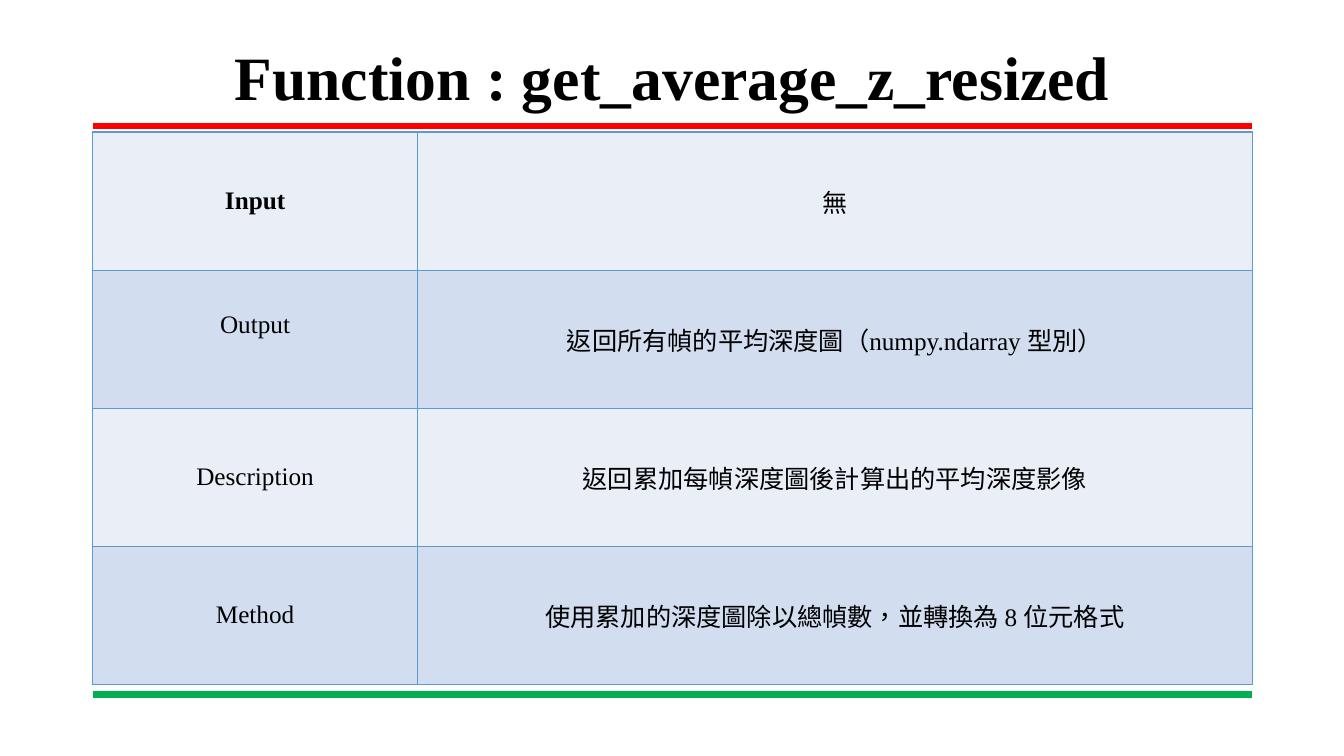
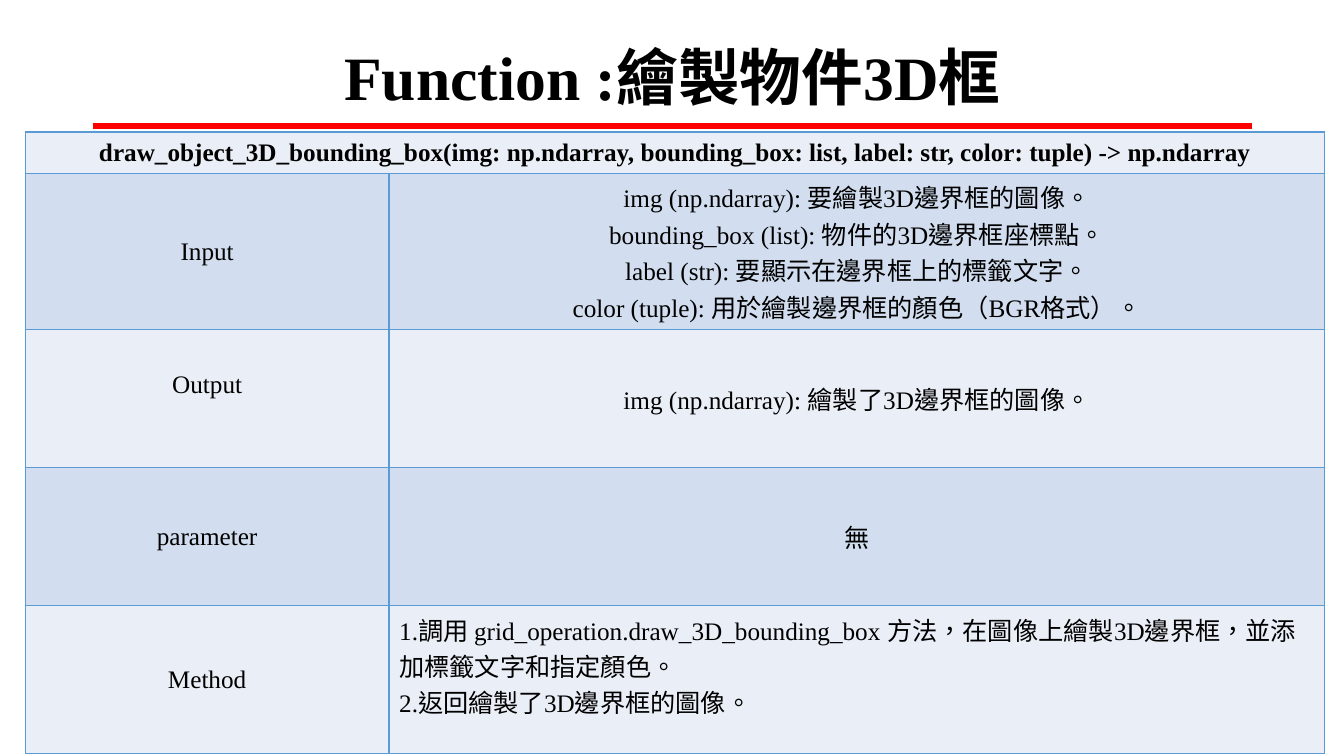
"""Build two slides that document functions in tables."""
from lxml import etree
from pptx import Presentation
from pptx import util as u
from pptx.dml.color import RGBColor
from pptx.enum import lang, shapes, text
from pptx.oxml.ns import qn

WIDTH, HEIGHT = 13.33, 7.5
LEFT, RIGHT = 0.92, 12.42
TABLE_TOP = 1.31
LABEL_SHARE = 0.28
ROW = 1.37
RAISED_MARGIN = 0.33
FONT = "Times New Roman"
COLORS = {
    "text": "000000",
    "top_band": "FF0000",
    "bottom_band": "00B050",
    "border": "5B9BD5",
    "light_row": "EAEFF7",
    "dark_row": "D2DEEF",
}


def rgb(name):
    """Return the named colour."""
    return RGBColor.from_string(COLORS[name])


def write(frame, content, size, bold=False, align=text.PP_ALIGN.CENTER):
    """Fill a text frame and format its runs."""
    frame.text = content
    for paragraph in frame.paragraphs:
        paragraph.alignment = align
        for run in paragraph.runs:
            run.font.name = FONT
            run.font.size = u.Pt(size)
            run.font.bold = bold
            run.font.color.rgb = rgb("text")
            run.font.language_id = lang.MSO_LANGUAGE_ID.TRADITIONAL_CHINESE


def add_band(slide, y, color):
    """Draw a horizontal band between the side margins."""
    band = slide.shapes.add_connector(
        shapes.MSO_CONNECTOR.STRAIGHT,
        u.Inches(LEFT), u.Inches(y), u.Inches(RIGHT), u.Inches(y))
    band.line.color.rgb = rgb(color)
    band.line.width = u.Pt(4.5)
    etree.SubElement(band._element.spPr, qn("a:effectLst"))


def add_title(slide, content):
    """Place the slide title above the top band."""
    title = slide.shapes.add_textbox(
        u.Inches(LEFT), u.Inches(0.4), u.Inches(RIGHT - LEFT), u.Inches(0.79))
    frame = title.text_frame
    frame.word_wrap = True
    frame.vertical_anchor = text.MSO_ANCHOR.MIDDLE
    write(frame, content, 44, bold=True)
    frame.paragraphs[0].line_spacing = 0.9


def add_borders(cell):
    """Outline a cell on all four sides."""
    properties = cell._tc.get_or_add_tcPr()
    for side in ("a:lnL", "a:lnR", "a:lnT", "a:lnB"):
        line = etree.SubElement(properties, qn(side), w=str(u.Pt(1)))
        fill = etree.SubElement(line, qn("a:solidFill"))
        etree.SubElement(fill, qn("a:srgbClr"), val=COLORS["border"])


def add_function_table(slide, left, width, rows, heights, raised, listed=()):
    """Add a two-column table whose single-entry rows span both columns."""
    table = slide.shapes.add_table(
        len(rows), 2, u.Inches(left), u.Inches(TABLE_TOP),
        u.Inches(width), u.Inches(sum(heights))).table
    for column, share in zip(table.columns, (LABEL_SHARE, 1 - LABEL_SHARE)):
        column.width = u.Inches(width * share)
    for r, (entries, height) in enumerate(zip(rows, heights)):
        table.rows[r].height = u.Inches(height)
        for c in range(2):
            cell = table.cell(r, c)
            add_borders(cell)
            cell.fill.solid()
            cell.fill.fore_color.rgb = rgb("dark_row" if r % 2 else "light_row")
            cell.vertical_anchor = text.MSO_ANCHOR.MIDDLE
            if (r, c) in raised:
                cell.margin_bottom = u.Inches(RAISED_MARGIN)
        if len(entries) == 1:
            table.cell(r, 0).merge(table.cell(r, 1))
        for c, entry in enumerate(entries):
            align = text.PP_ALIGN.LEFT if (r, c) in listed else text.PP_ALIGN.CENTER
            write(table.cell(r, c).text_frame, entry, 18,
                  bold=(r, c) == (0, 0), align=align)


def add_slide(deck, title, **table):
    """Add a slide with bands, a function table and a title."""
    slide = deck.slides.add_slide(deck.slide_layouts[6])
    add_band(slide, 1.25, "top_band")
    add_band(slide, 6.89, "bottom_band")
    add_function_table(slide, **table)
    add_title(slide, title)


def main():
    """Build and save the deck."""
    deck = Presentation()
    deck.slide_width, deck.slide_height = u.Inches(WIDTH), u.Inches(HEIGHT)
    add_slide(
        deck, "Function : get_average_z_resized",
        left=LEFT, width=RIGHT - LEFT, heights=[ROW] * 4, raised={(1, 0)},
        rows=[
            ("Input", "無"),
            ("Output", "返回所有幀的平均深度圖（numpy.ndarray 型別）"),
            ("Description", "返回累加每幀深度圖後計算出的平均深度影像"),
            ("Method", "使用累加的深度圖除以總幀數，並轉換為 8 位元格式"),
        ])
    add_slide(
        deck, "Function :繪製物件3D框",
        left=0.25, width=12.89, heights=[0.41, 1.55, ROW, ROW, 1.46],
        raised={(2, 0), (4, 1)}, listed={(4, 1)},
        rows=[
            ("draw_object_3D_bounding_box(img: np.ndarray, bounding_box: list, "
             "label: str, color: tuple) -> np.ndarray",),
            ("Input",
             "img (np.ndarray): 要繪製3D邊界框的圖像。\n"
             "bounding_box (list): 物件的3D邊界框座標點。\n"
             "label (str): 要顯示在邊界框上的標籤文字。\n"
             "color (tuple): 用於繪製邊界框的顏色（BGR格式）。"),
            ("Output", "img (np.ndarray): 繪製了3D邊界框的圖像。"),
            ("parameter", "無"),
            ("Method",
             "1.調用 grid_operation.draw_3D_bounding_box 方法，"
             "在圖像上繪製3D邊界框，並添加標籤文字和指定顏色。\n"
             "2.返回繪製了3D邊界框的圖像。"),
        ])
    deck.save("out.pptx")


if __name__ == "__main__":
    main()
